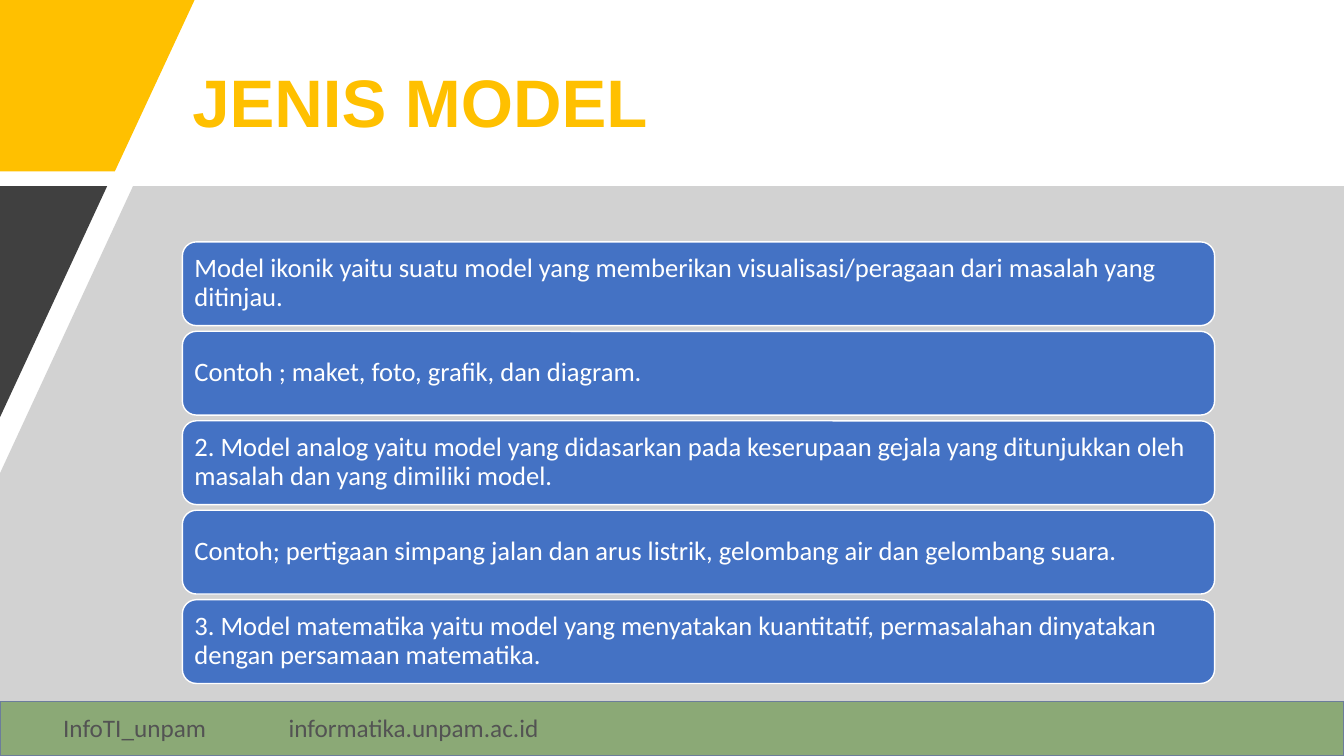
import dataclasses

import lxml.etree
import pptx
import pptx.dml.color
import pptx.enum.shapes
import pptx.enum.text
import pptx.oxml.ns
import pptx.util

Pt = pptx.util.Pt
Kind = pptx.enum.shapes.MSO_SHAPE
Anchor = pptx.enum.text.MSO_ANCHOR
Align = pptx.enum.text.PP_ALIGN


@dataclasses.dataclass(frozen=True)
class Theme:
    """Colours, fonts and type sizes of the slide."""
    gold: str = "FFC000"
    dark: str = "404040"
    grey: str = "A6A6A6"
    blue: str = "4472C4"
    green: str = "70AD47"
    edge: str = "325491"
    white: str = "FFFFFF"
    black: str = "000000"
    head: str = "Arial"
    body: str = "Calibri"
    big: int = 48
    mid: int = 19
    small: int = 18


def color(code):
    """Turn a hex code into a colour."""
    return pptx.dml.color.RGBColor.from_string(code)


def write(shape, text, *, font, size, ink, bold=False, mid=False, inset=None, lead=None, after=None):
    """Put formatted text in a shape."""
    frame = shape.text_frame
    frame.word_wrap = True
    frame.vertical_anchor = Anchor.MIDDLE if mid else Anchor.TOP
    if inset is not None:
        frame.margin_left = frame.margin_right = Pt(inset)
        frame.margin_top = frame.margin_bottom = Pt(inset)
    para = frame.paragraphs[0]
    para.alignment = Align.LEFT
    if lead is not None:
        para.line_spacing = lead
    if after is not None:
        para.space_after = Pt(after)
    run = para.add_run()
    run.text = text
    run.font.name = font
    run.font.size = Pt(size)
    run.font.bold = bold
    run.font.color.rgb = color(ink)


class Deck:
    """Hold the theme and the current slide."""

    def __init__(self, theme):
        """Open a wide deck with one blank slide."""
        self.theme = theme
        self.show = pptx.Presentation()
        self.show.slide_width = Pt(960)
        self.show.slide_height = Pt(540)
        self.slide = self.show.slides.add_slide(self.show.slide_layouts[6])

    def paint(self, shape, fill, line=None, alpha=None):
        """Set fill, outline and opacity in percent."""
        shape.shadow.inherit = False
        shape.fill.solid()
        shape.fill.fore_color.rgb = color(fill)
        if line:
            shape.line.color.rgb = color(line)
            shape.line.width = Pt(1)
        else:
            shape.line.fill.background()
        if alpha is not None:
            tint = shape.fill._xPr.find(".//" + pptx.oxml.ns.qn("a:srgbClr"))
            lxml.etree.SubElement(tint, pptx.oxml.ns.qn("a:alpha"), val=str(alpha * 1000))

    def box(self, kind, area, fill, line):
        """Add a preset shape."""
        shape = self.slide.shapes.add_shape(kind, *map(Pt, area))
        self.paint(shape, fill, line)
        return shape

    def label(self, area, text, **style):
        """Add a text box."""
        write(self.slide.shapes.add_textbox(*map(Pt, area)), text, **style)

    def outline(self, points, fill, alpha=None):
        """Add a closed polygon."""
        first, *rest = [(Pt(x), Pt(y)) for x, y in points]
        form = self.slide.shapes.build_freeform(*first, scale=1.0)
        form.add_line_segments(rest, close=True)
        self.paint(form.convert_to_shape(), fill, alpha=alpha)


def main():
    """Build and save the slide."""
    theme = Theme()
    deck = Deck(theme)

    deck.box(Kind.FLOWCHART_PROCESS, (0, 501, 960, 39), theme.green, theme.edge)
    for left, width, text in ((38, 141, "InfoTI_unpam"), (199, 212, "informatika.unpam.ac.id")):
        deck.label((left, 505, width, 29), text, font=theme.body, size=theme.small, ink=theme.black)

    left, width = 130.3, 737.3
    deck.label((left, 28.8, width, 93.6), "JENIS MODEL", font=theme.head, size=theme.big,
               ink=theme.gold, bold=True, mid=True, lead=0.9, after=6)

    top = 133
    deck.outline([(0, 0), (139, 0), (82, 122.5), (0, 122.5)], theme.gold)
    deck.outline([(95, top), (960, top), (960, 540), (0, 540), (0, 338)], theme.grey, alpha=50)
    deck.outline([(0, top), (76.5, top), (0, 298)], theme.dark)

    rows = (
        "Model ikonik yaitu suatu model yang memberikan visualisasi/peragaan dari masalah yang ditinjau.",
        "Contoh ; maket, foto, grafik, dan diagram.",
        "2. Model analog yaitu model yang didasarkan pada keserupaan gejala yang ditunjukkan oleh "
        "masalah dan yang dimiliki model.",
        "Contoh; pertigaan simpang jalan dan arus listrik, gelombang air dan gelombang suara.",
        "3. Model matematika yaitu model yang menyatakan kuantitatif, permasalahan dinyatakan "
        "dengan persamaan matematika.",
    )
    for step, text in enumerate(rows):
        area = (left, 172.8 + step * 63.9, width, 59.8)
        card = deck.box(Kind.ROUNDED_RECTANGLE, area, theme.blue, theme.white)
        write(card, text, font=theme.body, size=theme.mid, ink=theme.white,
              mid=True, inset=5.7, lead=0.9, after=6.65)

    deck.show.save("out.pptx")


if __name__ == "__main__":
    main()
